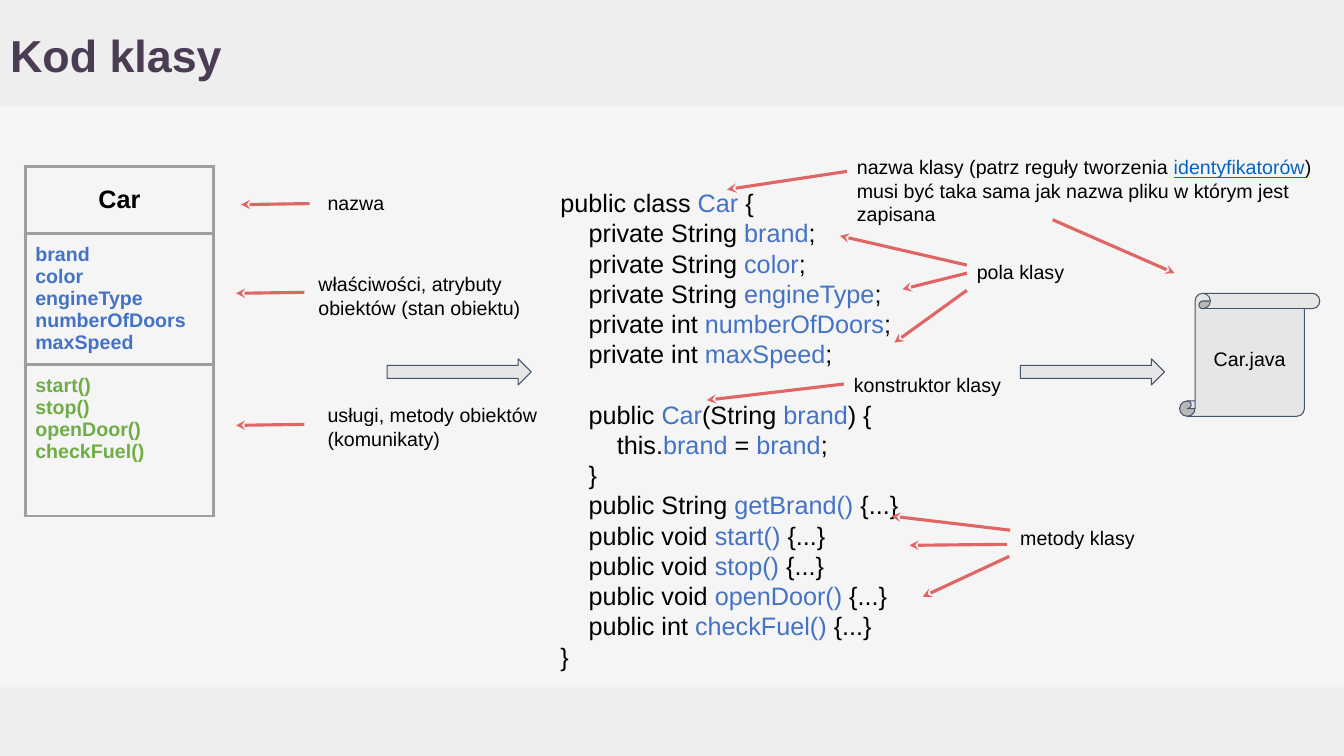
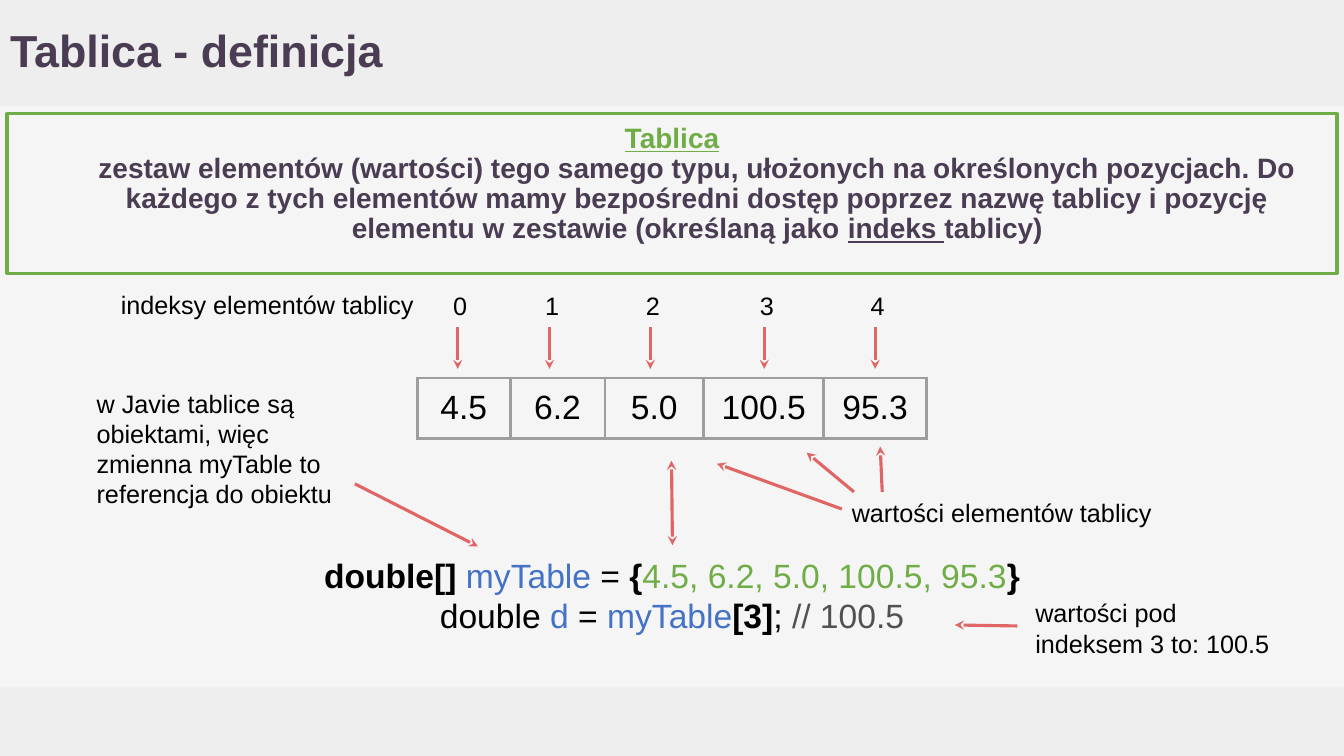
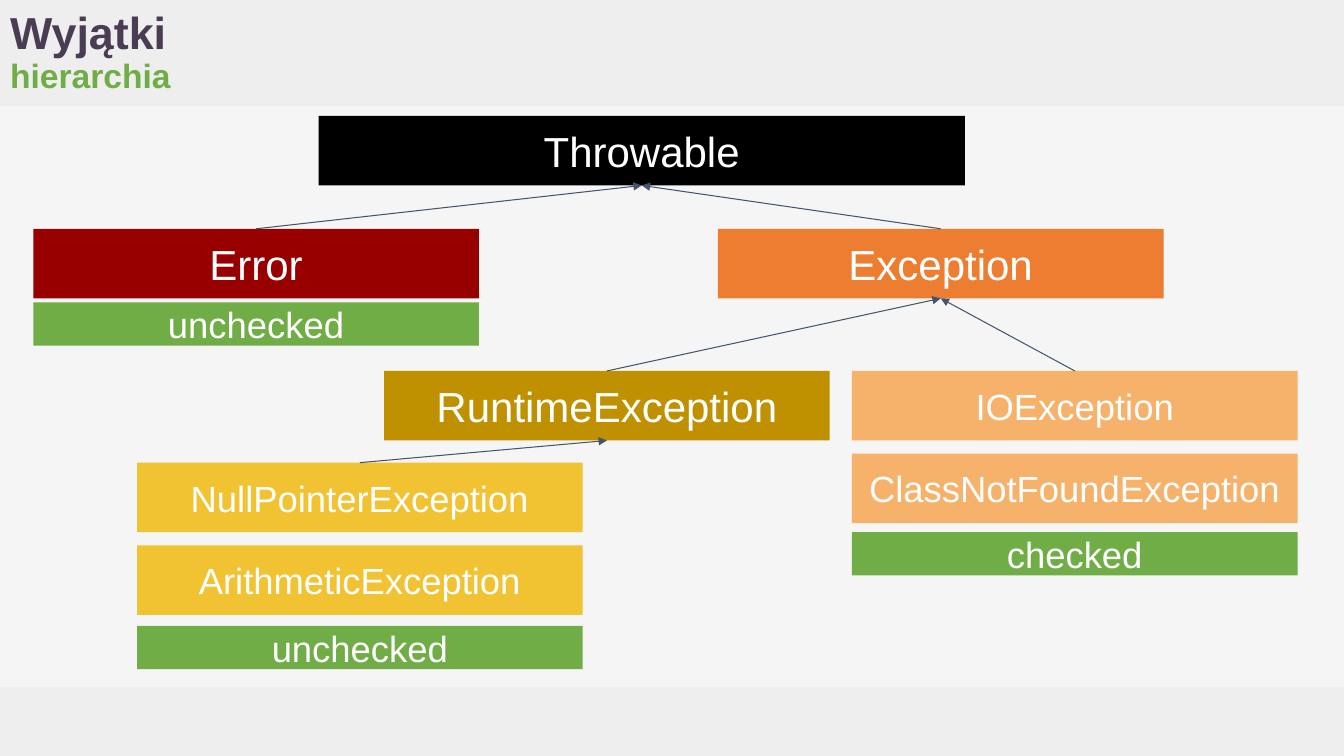
import pptx
import pptx.chart.data
import pptx.dml.color
import pptx.enum.shapes
import pptx.enum.text
import pptx.oxml.ns
import pptx.util
from lxml import etree

RGB = pptx.dml.color.RGBColor
SHAPE = pptx.enum.shapes.MSO_SHAPE
ALIGN = pptx.enum.text.PP_ALIGN
ANCHOR = pptx.enum.text.MSO_ANCHOR
inches, points, qn = pptx.util.Inches, pptx.util.Pt, pptx.oxml.ns.qn

WIDTH, HEIGHT = 13.33, 7.5
FONT = "Arial"
PAPER = RGB(0xF5, 0xF5, 0xF5)
BAND = RGB(0xEE, 0xEE, 0xEE)
PLUM = RGB(0x4A, 0x3D, 0x53)
BLACK = RGB(0, 0, 0)
WHITE = RGB(0xFF, 0xFF, 0xFF)
BLUE = RGB(0x44, 0x72, 0xC4)
LINK = RGB(0x05, 0x63, 0xC1)
GREEN = RGB(0x70, 0xAD, 0x47)
COMMENT = RGB(0x51, 0x51, 0x51)
RED = RGB(0xE0, 0x66, 0x66)
SLATE = RGB(0x44, 0x54, 0x6A)
SILVER = RGB(0xE7, 0xE6, 0xE6)
BORDER = RGB(0x9E, 0x9E, 0x9E)
DARK_RED = RGB(0x98, 0, 0)
ORANGE = RGB(0xED, 0x7D, 0x31)
PEACH = RGB(0xF6, 0xB2, 0x6B)
OCHRE = RGB(0xBF, 0x90, 0)
YELLOW = RGB(0xF1, 0xC2, 0x32)


def write(frame, lines, size, color=BLACK, bold=False, align=ALIGN.LEFT,
          anchor=ANCHOR.TOP, spacing=None):
    """Fill a frame; a line is a text or a list of (text, font settings) runs."""
    frame.word_wrap = True
    frame.auto_size = pptx.enum.text.MSO_AUTO_SIZE.NONE
    frame.vertical_anchor = anchor
    frame.margin_left = frame.margin_right = inches(0.1)
    frame.margin_top = frame.margin_bottom = inches(0.1)
    for number, line in enumerate(lines):
        paragraph = frame.add_paragraph() if number else frame.paragraphs[0]
        paragraph.alignment = align
        paragraph.line_spacing = spacing
        font = paragraph.font
        font.name, font.size, font.bold = FONT, points(size), bold
        font.color.rgb = color
        for text, settings in [(line, {})] if isinstance(line, str) else line:
            run = paragraph.add_run()
            run.text = text
            run.font.color.rgb = settings.get("color", color)
            run.font.bold = settings.get("bold", bold)
            run.font.underline = settings.get("underline")
    return frame.paragraphs


def label(slide, box, lines, size, **style):
    textbox = slide.shapes.add_textbox(*map(inches, box))
    return write(textbox.text_frame, lines, size, **style)


def add_figure(slide, kind, box, fill=None, line=None, weight=0.75):
    figure = slide.shapes.add_shape(kind, *map(inches, box))
    figure.shadow.inherit = False
    if fill is None:
        figure.fill.background()
    else:
        figure.fill.solid()
        figure.fill.fore_color.rgb = fill
    if line is None:
        figure.line.fill.background()
    else:
        figure.line.color.rgb = line
        figure.line.width = points(weight)
    return figure


def add_arrow(slide, start=(0, 0), tip=(0, 0), color=RED, weight=2.25,
              head="stealth", double=False):
    arrow = slide.shapes.add_connector(
        pptx.enum.shapes.MSO_CONNECTOR.STRAIGHT, *map(inches, (*start, *tip)))
    arrow.line.color.rgb = color
    arrow.line.width = points(weight)
    properties = arrow.element.spPr
    outline = properties.get_or_add_ln()
    for end in ("a:headEnd", "a:tailEnd") if double else ("a:tailEnd",):
        etree.SubElement(outline, qn(end), type=head)
    etree.SubElement(properties, qn("a:effectLst"))
    return arrow


def add_grid(slide, left, top, widths, heights):
    """Add an unfilled table with grey borders on every cell."""
    frame = slide.shapes.add_table(
        len(heights), len(widths),
        *map(inches, (left, top, sum(widths), sum(heights))))
    table = frame.table
    table.first_row = table.horz_banding = False
    for column, width in zip(table.columns, widths):
        column.width = inches(width)
    for row, height in zip(table.rows, heights):
        row.height = inches(height)
    for cell in table.iter_cells():
        properties = cell._tc.get_or_add_tcPr()
        for side in ("a:lnL", "a:lnR", "a:lnT", "a:lnB"):
            border = etree.SubElement(properties, qn(side), w=str(points(2.25)))
            fill = etree.SubElement(border, qn("a:solidFill"))
            etree.SubElement(fill, qn("a:srgbClr"), val=str(BORDER))
        cell.fill.background()
    return table


def write_cell(cell, lines, size, anchor=ANCHOR.TOP, **style):
    write(cell.text_frame, lines, size, **style)
    cell.vertical_anchor = anchor
    cell.margin_left = cell.margin_right = inches(0.1)
    cell.margin_top = cell.margin_bottom = inches(0.1)


def style_master(deck, slide):
    """Give the master its background and its two bands."""
    master = deck.slide_master
    master.background.fill.solid()
    master.background.fill.fore_color.rgb = PAPER
    for top, height in ((0, 1.05), (6.82, 0.68)):
        band = add_figure(slide, SHAPE.RECTANGLE, (0, top, WIDTH, height), BAND)
        master.shapes.element.insert(2, band.element)


def add_slide(deck, title, subtitle=None, top=0):
    slide = deck.slides.add_slide(deck.slide_layouts[5])
    heading = slide.shapes.title
    heading.left, heading.top, heading.width, heading.height = map(
        inches, (0, top, 11.92, 1.05))
    lines = [title, subtitle] if subtitle else [title]
    paragraphs = write(heading.text_frame, lines, 32, PLUM, True,
                       anchor=ANCHOR.MIDDLE, spacing=0.9)
    if subtitle:
        paragraphs[1].font.size = points(24)
        paragraphs[1].runs[0].font.color.rgb = GREEN
    return slide


def class_diagram(slide, left, top):
    table = add_grid(slide, left, top, [1.87], [0.67, 1.3, 1.5])
    write_cell(table.cell(0, 0), ["Car"], 18, bold=True, align=ALIGN.CENTER,
               anchor=ANCHOR.MIDDLE)
    fields = ["brand", "color", "engineType", "numberOfDoors", "maxSpeed"]
    methods = ["start()", "stop()", "openDoor()", "checkFuel()"]
    write_cell(table.cell(1, 0), fields, 14, color=BLUE, bold=True)
    write_cell(table.cell(2, 0), methods, 14, color=GREEN, bold=True)
    notes = [
        (2.9, 0.14, "nazwa"),
        (2.81, 0.95, "właściwości, atrybuty obiektów (stan obiektu)"),
        (2.9, 2.25, "usługi, metody obiektów (komunikaty)"),
    ]
    for x, y, text in notes:
        label(slide, (left + x, top + y, 2.28, 0.3), [text], 14)
    for x, y in ((2.14, 0.38), (2.09, 1.26), (2.09, 2.57)):
        add_arrow(slide, (left + x + 0.68, top + y - 0.01), (left + x, top + y))


def class_code(slide, left, top):
    """Write the listing: indent level, then text with names between bars."""
    listing = [
        (0, "public class |Car |{"),
        (1, "private String |brand|;"),
        (1, "private String |color|;"),
        (1, "private String |engineType|;"),
        (1, "private int |numberOfDoors|;"),
        (1, "private int |maxSpeed|;"),
        (1, "public |Car|(String |brand|) {"),
        (2, "this.|brand| = |brand|;"),
        (1, "}"),
        (1, "public String |getBrand()| {...}"),
        (1, "public void |start()| {...}"),
        (1, "public void |stop()| {...}"),
        (1, "public void |openDoor()| {...}"),
        (1, "public int |checkFuel()| {...}"),
        (0, "}"),
    ]
    lines = [[(part, {"color": BLUE if index % 2 else BLACK})
              for index, part in enumerate(text.split("|"))]
             for _, text in listing]
    paragraphs = label(slide, (left, top, 4.35, 4.56), lines, 18)
    for paragraph, (level, _) in zip(paragraphs, listing):
        indent = paragraph._p.get_or_add_pPr()
        indent.set("marL", str(inches(0.28 * level)))
        indent.set("indent", "0")
    constructor = paragraphs[6]
    constructor.space_before = points(21.5)


def code_notes(slide, left, top):
    link = {"color": LINK, "underline": True}
    naming = [
        [("nazwa klasy (patrz reguły tworzenia ", {}),
         ("identyfikatorów", link), (")", {})],
        "musi być taka sama jak nazwa pliku w którym jest zapisana",
    ]
    label(slide, (left, top, 4.78, 0.82), naming, 14)
    for x, y, text in ((1.19, 1.04, "pola klasy"),
                       (-0.03, 2.16, "konstruktor klasy"),
                       (1.62, 3.68, "metody klasy")):
        label(slide, (left + x, top + y, 2.4, 0.3), [text], 14)
    pointers = [
        ((0, 0.26), (-1.19, 0.44)),
        ((1.19, 1.19), (-0.07, 0.9)),
        ((1.19, 1.27), (0.55, 1.43)),
        ((1.19, 1.44), (0.47, 1.96)),
        ((-0.03, 2.37), (-1.39, 2.53)),
        ((1.62, 3.82), (0.44, 3.68)),
        ((1.59, 3.96), (0.62, 3.97)),
        ((1.61, 4.08), (0.75, 4.48)),
        ((2.04, 0.74), (3.25, 1.27)),
    ]
    for (x1, y1), (x2, y2) in pointers:
        add_arrow(slide, (left + x1, top + y1), (left + x2, top + y2))


def source_file(slide, box):
    scroll = add_figure(slide, SHAPE.VERTICAL_SCROLL, box, SILVER, SLATE)
    write(scroll.text_frame, ["Car.java"], 14, align=ALIGN.CENTER,
          anchor=ANCHOR.MIDDLE)


def class_slide(deck):
    slide = add_slide(deck, "Kod klasy", top=0.05)
    style_master(deck, slide)
    class_diagram(slide, 0.25, 1.65)
    class_code(slide, 5.46, 1.76)
    code_notes(slide, 8.4, 1.44)
    source_file(slide, (11.7, 2.91, 1.39, 1.22))
    for left in (3.84, 10.12):
        add_figure(slide, SHAPE.RIGHT_ARROW, (left, 3.56, 1.43, 0.26),
                   SILVER, SLATE)


def definition(slide, box):
    frame = add_figure(slide, SHAPE.RECTANGLE, box, line=GREEN, weight=2.25)
    lines = [
        [("Tablica", {"color": GREEN, "underline": True})],
        [("zestaw elementów (wartości) tego samego typu, ułożonych na "
          "określonych pozycjach. Do każdego z tych elementów mamy bezpośredni "
          "dostęp poprzez nazwę tablicy i pozycję elementu w zestawie "
          "(określaną jako ", {}),
         ("indeks ", {"underline": True}), ("tablicy)", {})],
    ]
    paragraphs = write(frame.text_frame, lines, 20, PLUM, True, ALIGN.CENTER,
                       spacing=0.9)
    body = paragraphs[1]._p.get_or_add_pPr()
    body.set("marL", str(inches(0.5)))
    body.set("indent", "0")


def array_table(slide, left, top):
    values = ["4.5", "6.2", "5.0", "100.5", "95.3"]
    table = add_grid(slide, left, top, [0.92, 0.94, 0.98, 1.19, 1.02], [0.6])
    for cell, value in zip(table.iter_cells(), values):
        write_cell(cell, [value], 24, align=ALIGN.CENTER, anchor=ANCHOR.MIDDLE)
    label(slide, (left - 3.04, top - 0.98, 3.23, 0.44),
          ["indeksy elementów tablicy"], 18)
    for index, offset in enumerate((0.42, 1.33, 2.33, 3.46, 4.56)):
        center = left + offset
        label(slide, (center - 0.23, top - 0.97, 0.47, 0.45), [str(index)], 18,
              align=ALIGN.CENTER)
        add_arrow(slide, (center - 0.02, top - 0.51), (center - 0.02, top - 0.09))


def array_code(slide, box):
    blue, strong = {"color": BLUE}, {"bold": True}
    lines = [
        [("double[] ", strong), ("myTable ", blue), ("= ", {}), ("{", strong),
         ("4.5, 6.2, 5.0, 100.5, 95.3", {"color": GREEN}), ("}", strong)],
        [("double ", {}), ("d ", blue), ("= ", {}), ("myTable", blue),
         ("[3]", strong), ("; ", {}), ("// 100.5", {"color": COMMENT})],
    ]
    label(slide, box, lines, 24, align=ALIGN.CENTER, anchor=ANCHOR.MIDDLE)


def array_notes(slide):
    notes = [
        ((8.35, 4.83, 3.23, 0.44), "wartości elementów tablicy"),
        ((10.17, 5.83, 2.6, 0.71), "wartości pod indeksem 3 to: 100.5"),
        ((0.86, 3.75, 2.72, 1.43), "w Javie tablice są obiektami, więc "
                                   "zmienna myTable to referencja do obiektu"),
    ]
    for box, text in notes:
        label(slide, box, [text], 18)
    pointers = [
        ((8.35, 5.05), (7.11, 4.6)),
        ((8.47, 4.88), (8, 4.49)),
        ((8.75, 4.88), (8.73, 4.43)),
        ((10.09, 6.21), (9.47, 6.2)),
        ((3.52, 4.8), (4.74, 5.42)),
    ]
    for start, tip in pointers:
        add_arrow(slide, start, tip)
    add_arrow(slide, (6.66, 4.57), (6.67, 5.41), double=True)


def array_slide(deck):
    slide = add_slide(deck, "Tablica - definicja")
    definition(slide, (0.07, 1.13, 13.19, 1.58))
    array_table(slide, 4.14, 3.75)
    array_code(slide, (2.91, 5.38, 7.51, 1.05))
    array_notes(slide)


def class_box(slide, text, left, top, fill, size=26, width=4.42, height=0.69):
    box = add_figure(slide, SHAPE.RECTANGLE, (left, top, width, height), fill)
    write(box.text_frame, [text], size, WHITE, align=ALIGN.CENTER,
          anchor=ANCHOR.MIDDLE)
    return box


def hierarchy_slide(deck):
    slide = add_slide(deck, "Wyjątki", "hierarchia")
    throwable = class_box(slide, "Throwable", 3.16, 1.15, BLACK, 30, 6.41)
    error = class_box(slide, "Error", 0.33, 2.27, DARK_RED, 30)
    exception = class_box(slide, "Exception", 7.12, 2.27, ORANGE, 30)
    runtime = class_box(slide, "RuntimeException", 3.81, 3.68, OCHRE, 30)
    checked = class_box(slide, "IOException", 8.45, 3.68, PEACH)
    class_box(slide, "ClassNotFoundException", 8.45, 4.5, PEACH)
    null_pointer = class_box(slide, "NullPointerException", 1.36, 4.59, YELLOW)
    class_box(slide, "ArithmeticException", 1.36, 5.41, YELLOW)
    for text, left, top in (("unchecked", 0.33, 3), ("checked", 8.45, 5.28),
                            ("unchecked", 1.36, 6.21)):
        class_box(slide, text, left, top, GREEN, height=0.43)
    for child, parent in ((error, throwable), (exception, throwable),
                          (runtime, exception), (checked, exception),
                          (null_pointer, runtime)):
        link = add_arrow(slide, color=SLATE, weight=0.75, head="triangle")
        link.begin_connect(child, 0)
        link.end_connect(parent, 2)


def main():
    deck = pptx.Presentation()
    deck.slide_width, deck.slide_height = inches(WIDTH), inches(HEIGHT)
    class_slide(deck)
    array_slide(deck)
    hierarchy_slide(deck)
    deck.save("out.pptx")


if __name__ == "__main__":
    main()
